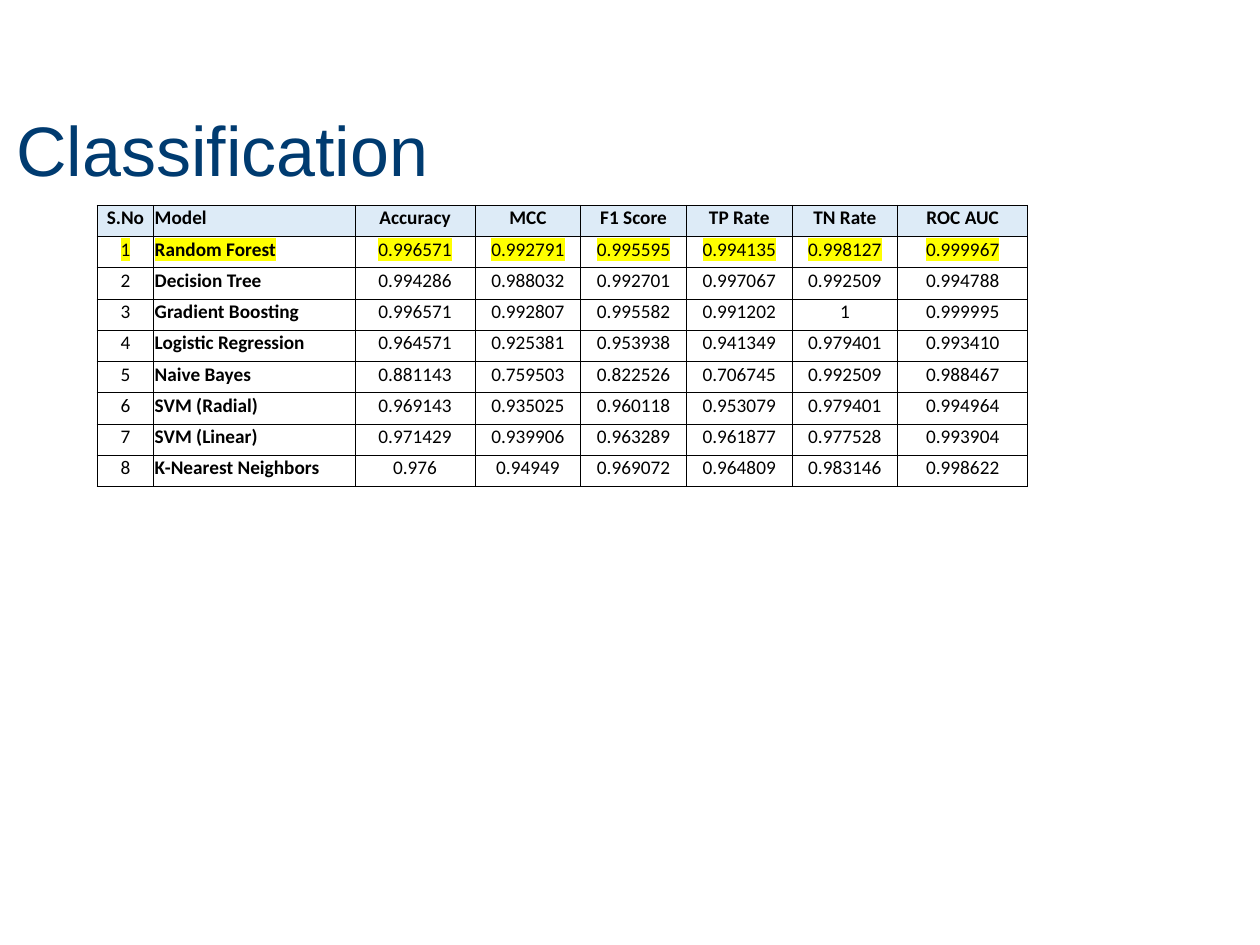
import pptx
import pptx.util
import pptx.dml.color
import pptx.enum.text
import pptx.oxml
import pptx.oxml.ns
from pptx.util import Cm, Pt

qn = pptx.oxml.ns.qn
ALIGN = pptx.enum.text.PP_ALIGN
MIDDLE = pptx.enum.text.MSO_ANCHOR.MIDDLE


def color(code):
    return pptx.dml.color.RGBColor.from_string(code)


def style(para, face, size, code, bold=False):
    font = para.runs[0].font
    font.name, font.size, font.bold = face, Pt(size), bold
    font.color.rgb = color(code)


deck = pptx.Presentation()
deck.slide_width, deck.slide_height = Cm(25.4), Cm(19.05)
slide = deck.slides.add_slide(deck.slide_layouts[6])

# Title
title = slide.shapes.add_textbox(Cm(0.33), Cm(0.28), Cm(23.14), Cm(3.18))
frame = title.text_frame
frame.word_wrap = True
frame.vertical_anchor = MIDDLE
frame.margin_left = frame.margin_right = frame.margin_top = frame.margin_bottom = 0
frame.text = "Classification"
frame.paragraphs[0].line_spacing = 2.33
style(frame.paragraphs[0], "Arial", 40, "003B70")

# Model scores
rows = [
    ["S.No", "Model", "Accuracy", "MCC", "F1 Score", "TP Rate", "TN Rate", "ROC AUC"],
    ["1", "Random Forest", "0.996571", "0.992791", "0.995595", "0.994135", "0.998127", "0.999967"],
    ["2", "Decision Tree", "0.994286", "0.988032", "0.992701", "0.997067", "0.992509", "0.994788"],
    ["3", "Gradient Boosting", "0.996571", "0.992807", "0.995582", "0.991202", "1", "0.999995"],
    ["4", "Logistic Regression", "0.964571", "0.925381", "0.953938", "0.941349", "0.979401", "0.993410"],
    ["5", "Naive Bayes", "0.881143", "0.759503", "0.822526", "0.706745", "0.992509", "0.988467"],
    ["6", "SVM (Radial)", "0.969143", "0.935025", "0.960118", "0.953079", "0.979401", "0.994964"],
    ["7", "SVM (Linear)", "0.971429", "0.939906", "0.963289", "0.961877", "0.977528", "0.993904"],
    ["8", "K-Nearest Neighbors", "0.976", "0.94949", "0.969072", "0.964809", "0.983146", "0.998622"],
]
widths = [1.14, 4.06, 2.42, 2.13, 2.13, 2.13, 2.13, 2.62]
high = 0.63
best = 1

table = slide.shapes.add_table(
    len(rows), len(widths), Cm(1.96), Cm(4.14), Cm(sum(widths)), Cm(high * len(rows))
).table
for col, width in zip(table.columns, widths):
    col.width = Cm(width)

for r, row in enumerate(rows):
    table.rows[r].height = Cm(high)
    for c, text in enumerate(row):
        cell = table.cell(r, c)
        cell.vertical_anchor = MIDDLE
        cell.margin_left = cell.margin_right = cell.margin_top = Cm(0.02)
        cell.margin_bottom = Cm(0.13)

        # Text, bold in the header and the model names
        cell.text_frame.text = text
        para = cell.text_frame.paragraphs[0]
        para.alignment = ALIGN.LEFT if c == 1 else ALIGN.CENTER
        para.line_spacing = Pt(13.5)
        style(para, "Calibri", 11, "000000", r == 0 or c == 1)

        # Yellow marker on the best model
        if r == best:
            mark = pptx.oxml.parse_xml(
                f'<a:highlight {pptx.oxml.ns.nsdecls("a")}>'
                '<a:srgbClr val="FFFF00"/></a:highlight>'
            )
            para.runs[0].font._element.find(qn("a:solidFill")).addnext(mark)

        # Black borders, then the fill
        for side in "LRTB":
            line = pptx.oxml.parse_xml(
                f'<a:ln{side} {pptx.oxml.ns.nsdecls("a")} w="{Pt(0.75)}"><a:solidFill>'
                f'<a:srgbClr val="000000"/></a:solidFill></a:ln{side}>'
            )
            cell._tc.get_or_add_tcPr().append(line)
        if r == 0:
            cell.fill.solid()
            cell.fill.fore_color.rgb = color("DDEBF7")
        else:
            cell.fill.background()

deck.save("out.pptx")
